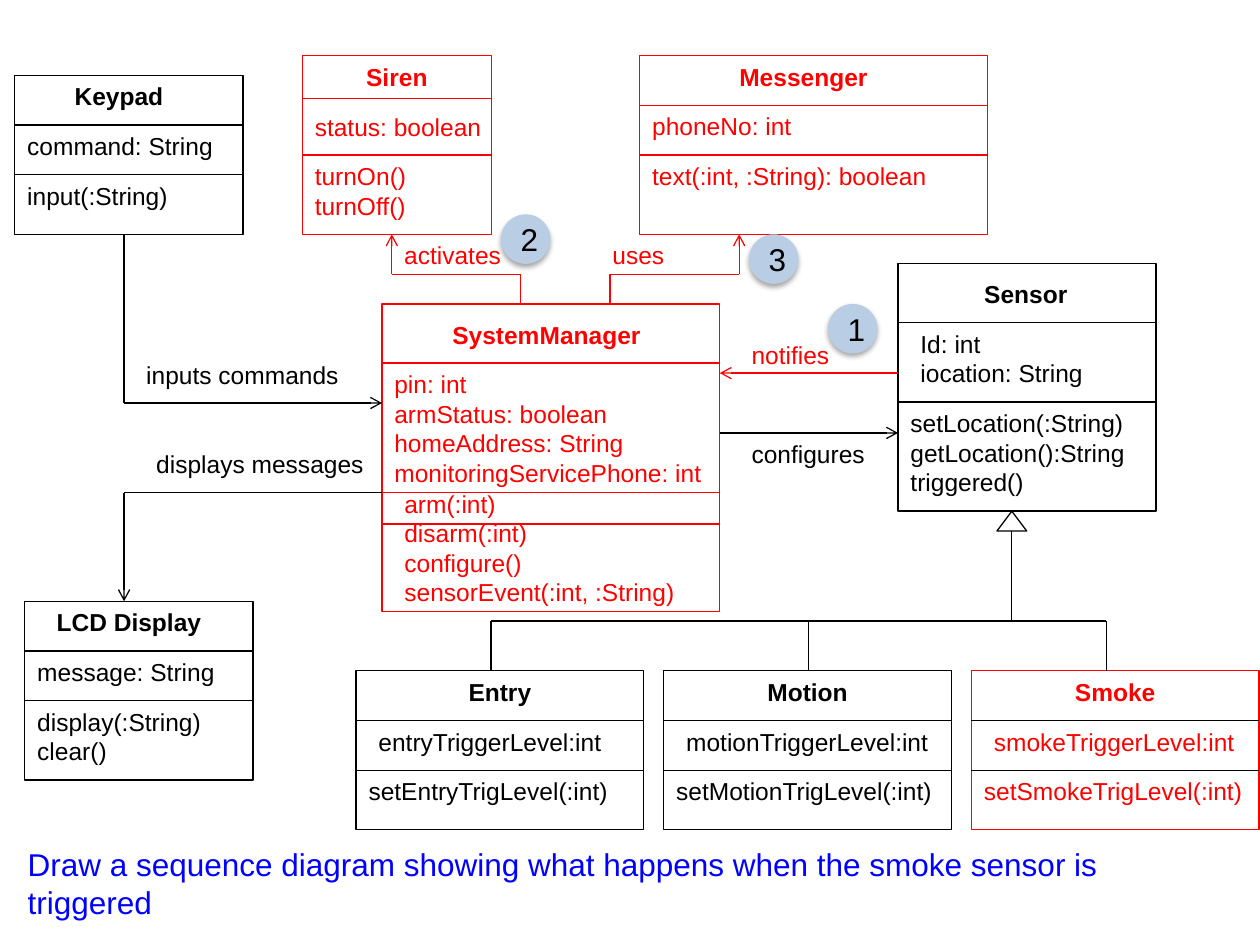
from itertools import pairwise

from lxml import etree
from pptx import Presentation
from pptx.dml.color import RGBColor
from pptx.enum.shapes import MSO_CONNECTOR, MSO_SHAPE
from pptx.enum.text import MSO_ANCHOR, MSO_AUTO_SIZE, PP_ALIGN
from pptx.oxml import parse_xml
from pptx.oxml.ns import nsdecls, qn
from pptx.util import Pt

RECTANGLE, ELLIPSE, TRIANGLE = MSO_SHAPE.RECTANGLE, MSO_SHAPE.OVAL, MSO_SHAPE.ISOSCELES_TRIANGLE
STRAIGHT = MSO_CONNECTOR.STRAIGHT
LEFT, CENTER = PP_ALIGN.LEFT, PP_ALIGN.CENTER
TOP, MIDDLE = MSO_ANCHOR.TOP, MSO_ANCHOR.MIDDLE
NO_AUTOSIZE = MSO_AUTO_SIZE.NONE
BLACK, RED, BLUE, PALE_BLUE = "000000", "FF0000", "0000FF", "B9CDE5"

presentation = Presentation()
presentation.slide_width, presentation.slide_height = Pt(720), Pt(540)
slide = presentation.slides.add_slide(presentation.slide_layouts[5])


def write(text, left=0, top=0, width=0, height=24.5, shape=None, color=BLACK,
          size=14, bold=False, align=LEFT, anchor=TOP):
    """Write text into the given shape, or into a new text box."""
    if shape is None:
        shape = slide.shapes.add_textbox(Pt(left), Pt(top), Pt(width), Pt(height))
    frame = shape.text_frame
    frame.text = text
    frame.word_wrap = True
    frame.auto_size = NO_AUTOSIZE
    frame.vertical_anchor = anchor
    for paragraph in frame.paragraphs:
        paragraph.alignment = align
        font = paragraph.font
        font.name, font.size, font.bold = "Arial", Pt(size), bold
        font.color.rgb = RGBColor.from_string(color)


def draw_path(points, color=BLACK, arrow=False):
    """Join the points with straight connectors; the last may end in an arrow."""
    for (x1, y1), (x2, y2) in pairwise(points):
        connector = slide.shapes.add_connector(STRAIGHT, Pt(x1), Pt(y1), Pt(x2), Pt(y2))
        connector.line.color.rgb = RGBColor.from_string(color)
        connector.line.width = Pt(0.75)
        properties = connector._element.spPr
        etree.SubElement(properties, qn("a:effectLst"))
    if arrow:
        etree.SubElement(properties.find(qn("a:ln")), qn("a:tailEnd"), type="arrow")


# Task sentence
title = slide.shapes.title
title.left, title.top, title.width, title.height = Pt(8.6), Pt(479.5), Pt(686), Pt(51)
write("Draw a sequence diagram showing what happens when the smoke sensor is triggered",
      shape=title, color=BLUE, size=18)

# Classes: name, left, top, width, height, colour, divider colour, title shift,
# compartments as (divider offset, text shift, text)
classes = [
    ("SystemManager", 218.3, 173.7, 193, 175.7, RED, RED, (-2.5, 5.7), [
        (33.8, (0, 0), "pin: int\narmStatus: boolean\nhomeAddress: String\n"
                       "monitoringServicePhone: int"),
        (107.8, (5.7, -5.7), "arm(:int)\ndisarm(:int)\nconfigure()\n"
                             "sensorEvent(:int, :String)")]),
    ("Siren", 172.8, 31.7, 108, 102.2, RED, RED, (0, 0), [
        (24.5, (0, 4.1), "status: boolean"),
        (56.9, (0, 0), "turnOn()\nturnOff()")]),
    ("Messenger", 365.6, 31.7, 198.6, 102.2, RED, RED, (-5.7, 0), [
        (28.4, (0, 0), "phoneNo: int"),
        (56.9, (0, 0), "text(:int, :String): boolean")]),
    ("Keypad", 8.5, 43, 130.4, 90.9, BLACK, BLACK, (-5.7, 0), [
        (28.4, (0, 0), "command: String"),
        (56.9, (0, 0), "input(:String)")]),
    ("LCD Display", 14.2, 343.6, 130.4, 102.2, BLACK, BLACK, (-5.7, 0), [
        (28.4, (0, 0), "message: String"),
        (56.9, (0, 0), "display(:String)\nclear()")]),
    ("Sensor", 513.2, 150.4, 147.4, 141.7, BLACK, BLACK, (-0.7, 5.7), [
        (33.9, (5.7, 0), "Id: int\niocation: String"),
        (79.4, (0, 0), "setLocation(:String)\ngetLocation():String\ntriggered()")]),
]
for index, (name, color) in enumerate([("Entry", BLACK), ("Motion", BLACK), ("Smoke", RED)]):
    classes.append((name, 203.5 + 175.8 * index, 383.3, 164.4, 90.7, color, BLACK, (0, 0), [
        (28.4, (5.7, 0), f"{name.lower()}TriggerLevel:int"),
        (56.9, (0, 0), f"set{name}TrigLevel(:int)")]))

for name, left, top, width, height, color, divider, shift, compartments in classes:
    box = slide.shapes.add_shape(RECTANGLE, Pt(left), Pt(top), Pt(width), Pt(height))
    box.shadow.inherit = False
    box.fill.background()
    box.line.color.rgb = RGBColor.from_string(color)
    box.line.width = Pt(0.75)
    write(name, left + shift[0], top + shift[1], width, color=color, bold=True, align=CENTER)
    for offset, (text_x, text_y), text in compartments:
        y = top + offset
        draw_path([(left, y), (left + width, y)], divider)
        line_count = text.count("\n") + 1
        write(text, left + text_x, y + text_y, width + 6, 7.5 + 17 * line_count, color=color)

# Lower edge of the SystemManager attribute box
draw_path([(218.3, 299.5), (411.3, 299.5)], RED)

# Associations
draw_path([(297.6, 173.7), (297.6, 156.7), (223.9, 156.7), (223.9, 133.9)], RED, arrow=True)
draw_path([(348.6, 173.7), (348.6, 156.7), (422.4, 156.7), (422.4, 133.9)], RED, arrow=True)
draw_path([(513.2, 213.2), (411.3, 213.2)], RED, arrow=True)
draw_path([(411.3, 247.4), (513.2, 247.4)], arrow=True)
draw_path([(70.9, 133.9), (70.9, 230.3), (218.3, 230.3)], arrow=True)
draw_path([(218.3, 281.5), (70.9, 281.5), (70.9, 343.6)], arrow=True)

# Association names
for text, left, top, color in [
    ("activates", 223.9, 133.9, RED),
    ("uses", 342.9, 133.9, RED),
    ("notifies", 422.4, 190.6, RED),
    ("configures", 422.4, 247.4, BLACK),
    ("inputs commands", 76.5, 202, BLACK),
    ("displays messages", 82.2, 252.9, BLACK),
]:
    write(text, left, top, 136, color=color)

# Inheritance from Sensor
triangle = slide.shapes.add_shape(TRIANGLE, Pt(569.7), Pt(292.1), Pt(17), Pt(11.3))
triangle.shadow.inherit = False
triangle.fill.background()
triangle.line.color.rgb = RGBColor.from_string(BLACK)
triangle.line.width = Pt(0.75)
draw_path([(578.2, 303.4), (578.2, 354.5)])
draw_path([(280.6, 354.9), (632.2, 354.9)])
for x in (280.6, 462, 632.2):
    draw_path([(x, 354.9), (x, 383.3)])

# Step numbers
for number, left, top in [("1", 473.2, 173.7), ("2", 286.3, 122.5), ("3", 428, 133.9)]:
    badge = slide.shapes.add_shape(ELLIPSE, Pt(left), Pt(top), Pt(28.3), Pt(28.3))
    badge.fill.solid()
    badge.fill.fore_color.rgb = RGBColor.from_string(PALE_BLUE)
    badge.line.fill.background()
    badge._element.spPr.append(parse_xml(
        f'<a:effectLst {nsdecls("a")}><a:outerShdw blurRad="{Pt(3.1)}" dist="{Pt(1.8)}" '
        'dir="5400000" rotWithShape="0"><a:srgbClr val="000000"><a:alpha val="35000"/>'
        '</a:srgbClr></a:outerShdw></a:effectLst>'))
    write(number, shape=badge, size=18, anchor=MIDDLE)

presentation.save("out.pptx")
